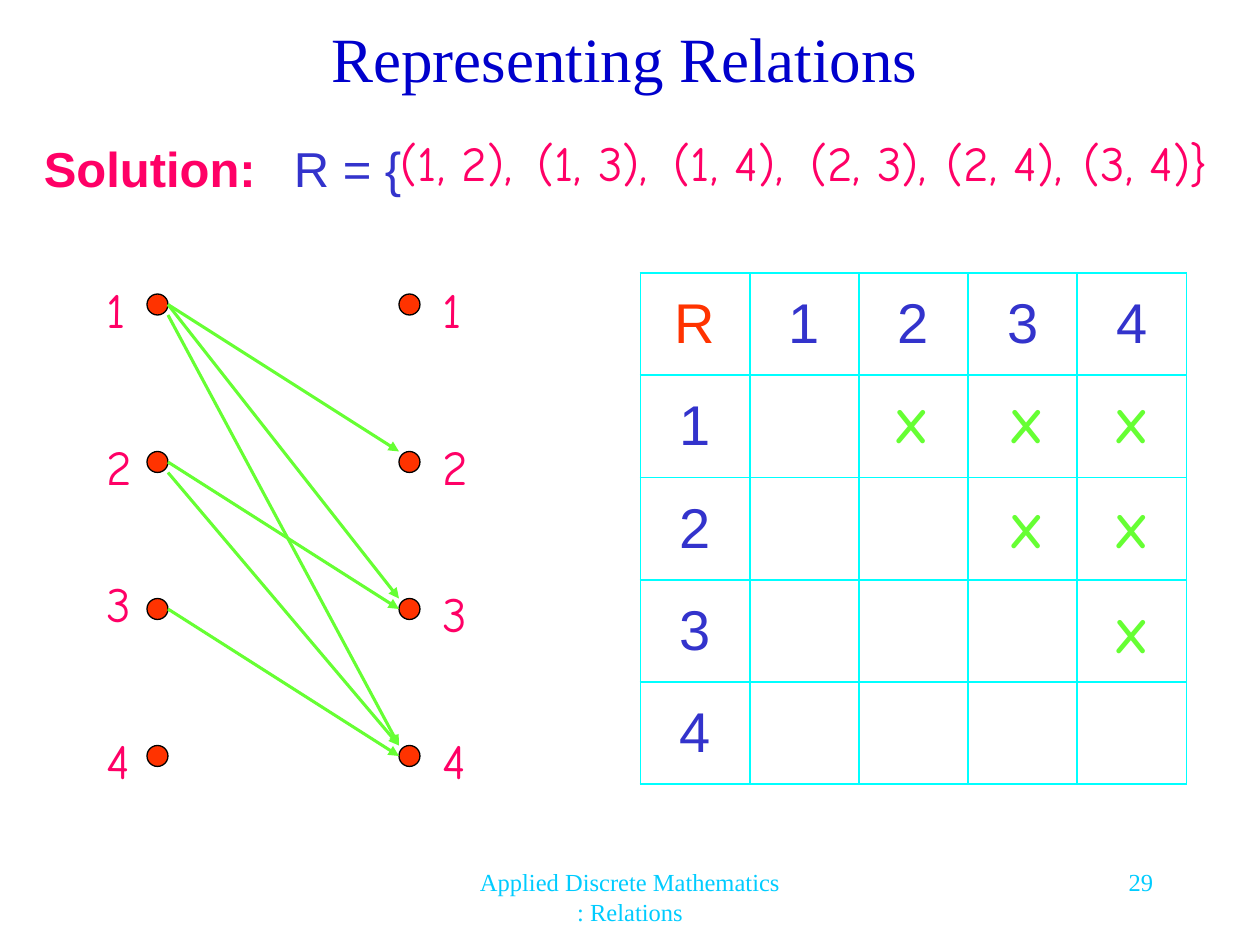
from lxml import etree
from pptx import Presentation
from pptx.dml.color import RGBColor
from pptx.enum.shapes import MSO_CONNECTOR, MSO_SHAPE
from pptx.enum.text import MSO_ANCHOR, PP_ALIGN
from pptx.oxml.ns import qn
from pptx.util import Cm, Pt

LEFT, MID, RIGHT = PP_ALIGN.LEFT, PP_ALIGN.CENTER, PP_ALIGN.RIGHT
TOP, CENTRE = MSO_ANCHOR.TOP, MSO_ANCHOR.MIDDLE
OVAL, LINE = MSO_SHAPE.OVAL, MSO_CONNECTOR.STRAIGHT

COLORS = {"title": "0000CC", "pink": "FF0066", "blue": "3333CC",
          "red": "FF3300", "green": "66FF33", "cyan": "00FFFF",
          "foot": "00CCFF", "black": "000000"}
SERIF, SANS, HAND = "Times New Roman", "Arial", "Comic Neue"

# Places are counted in grid units of a twelfth of an inch.
UNIT = 2.54 / 12
HIGH = 6.84  # height of a one-line box

PAIRS = ["(1, 2),", "(1, 3),", "(1, 4),", "(2, 3),", "(2, 4),", "(3, 4)}"]
HEADS = ["R", "1", "2", "3", "4"]
DOT_X = (14, 38)
DOT_Y = (28, 43, 57, 71)
LABELS = [(9, (26, 41, 54, 69)), (41, (26, 41, 55, 69))]
ARROWS = [(29, 43), (29, 57), (30, 71), (44, 58), (45, 71), (58, 72)]
MARKS = [(37, (84, 95, 105)), (47, (95, 105)), (57, (105,))]


def grid(*nums):
    return [Cm(n * UNIT) for n in nums]


def rgb(name):
    return RGBColor.from_string(COLORS[name])


def style(run, size, face, color, bold=False):
    font = run.font
    font.size, font.name, font.bold = Pt(size), face, bold
    font.color.rgb = rgb(color)


def write(text, place, size, face, color, align=LEFT, bold=False, anchor=TOP):
    """Add a text box and return its first paragraph."""
    frame = slide.shapes.add_textbox(*grid(*place)).text_frame
    frame.word_wrap = True
    frame.vertical_anchor = anchor
    frame.text = text
    for para in frame.paragraphs:
        para.alignment = align
        for run in para.runs:
            style(run, size, face, color, bold)
    return frame.paragraphs[0]


def edge(cell):
    """Draw all four borders of a table cell."""
    props = cell._tc.get_or_add_tcPr()
    for i, side in enumerate(("a:lnL", "a:lnR", "a:lnT", "a:lnB")):
        line = etree.Element(qn(side), w=str(Pt(1.08)))
        fill = etree.SubElement(line, qn("a:solidFill"))
        etree.SubElement(fill, qn("a:srgbClr"), val=COLORS["cyan"])
        props.insert(i, line)


def arrow(start, end):
    line = slide.shapes.add_connector(LINE, *grid(16, start, 38, end))
    line.line.color.rgb = rgb("green")
    line.line.width = Pt(1.75)
    etree.SubElement(line.line._get_or_add_ln(), qn("a:tailEnd"),
                     type="triangle")
    etree.SubElement(line._element.spPr, qn("a:effectLst"))


def dot(x, y):
    shape = slide.shapes.add_shape(OVAL, *grid(x, y, 2, 2))
    shape.shadow.inherit = False
    shape.fill.solid()
    shape.fill.fore_color.rgb = rgb("red")
    shape.line.color.rgb = rgb("black")
    shape.line.width = Pt(0.75)


def matrix():
    size = len(HEADS)
    frame = slide.shapes.add_table(size, size, *grid(61, 26, 52, 48.7))
    table = frame.table
    table.first_row = table.horz_banding = False
    for r in range(size):
        for c in range(size):
            cell = table.cell(r, c)
            cell.fill.background()
            edge(cell)
            if r and c:
                continue
            cell.vertical_anchor = CENTRE
            cell.text = HEADS[r + c]
            para = cell.text_frame.paragraphs[0]
            para.alignment = MID
            style(para.runs[0], 32, SANS, "blue" if r + c else "red")


deck = Presentation()
deck.slide_width, deck.slide_height = Cm(25.4), Cm(19.05)
slide = deck.slides.add_slide(deck.slide_layouts[6])

write("Applied Discrete Mathematics\n: Relations", (34, 82, 52, 6),
      14, SERIF, "foot", MID)
write("29", (86, 82, 25, 6), 14, SERIF, "foot", RIGHT)
write("Representing Relations", (6, 0, 107, 11), 36, SERIF, "title", MID,
      anchor=CENTRE)

lead = write("Solution:", (3, 12.6, 115, 11.4), 28, SANS, "pink", bold=True)
stops = etree.SubElement(lead._p.get_or_add_pPr(), qn("a:tabLst"))
etree.SubElement(stops, qn("a:tab"), pos=str(Cm(5.04)), algn="l")
rest = lead.add_run()
rest.text = "\tR = {"
style(rest, 28, SANS, "blue")

for i, pair in enumerate(PAIRS):
    write(pair, (37 + 13 * i, 12, 18, HIGH), 28, HAND, "pink")
for x in DOT_X:
    for y in DOT_Y:
        dot(x, y)
matrix()
for start, end in ARROWS:
    arrow(start, end)
for x, tops in LABELS:
    for name, y in zip(HEADS[1:], tops):
        write(name, (x, y, 5, HIGH), 28, HAND, "pink")
for y, lefts in MARKS:
    for x in lefts:
        write("X", (x, y, 7, HIGH), 28, HAND, "green", bold=True)

deck.save("out.pptx")
